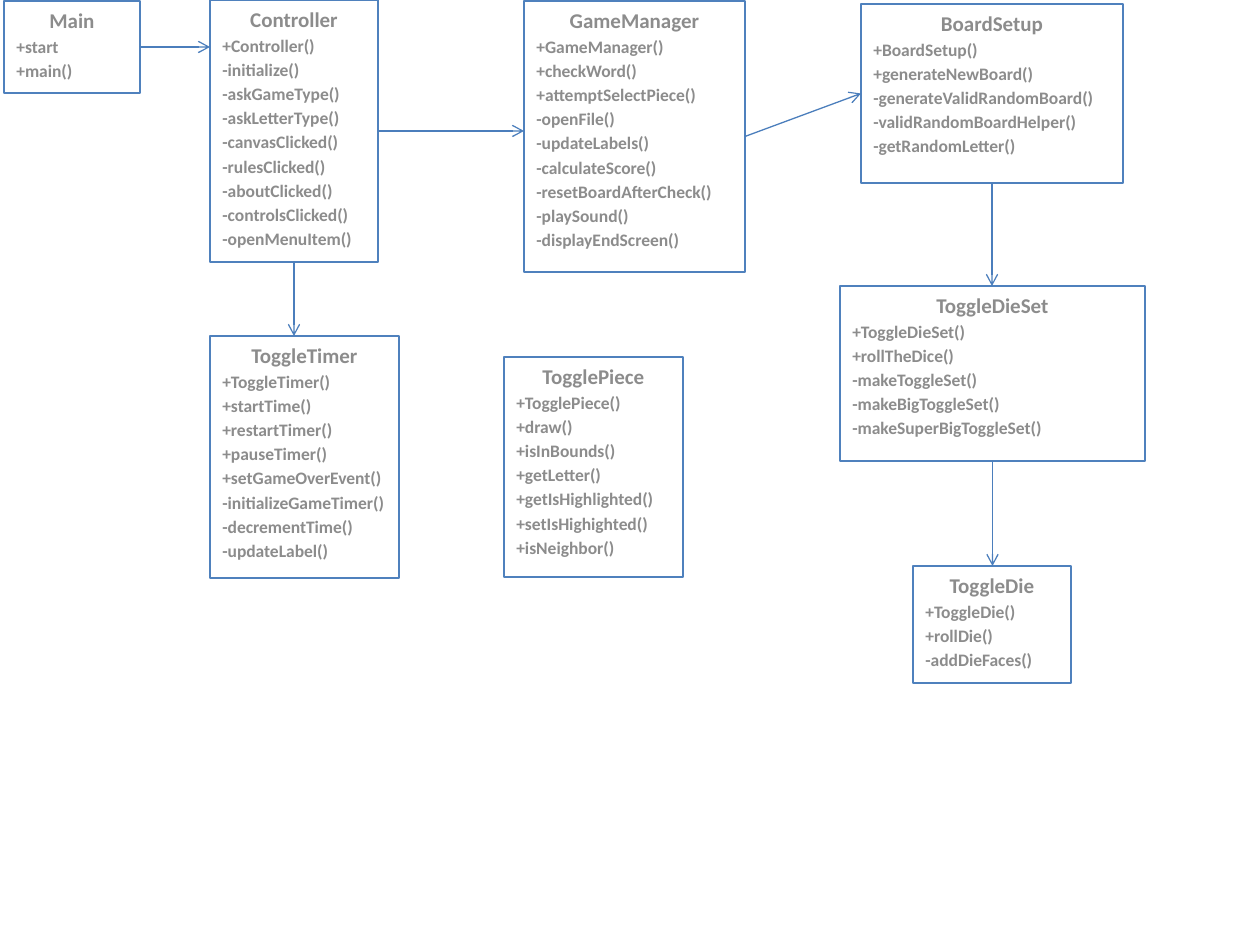
"""Builds a one-slide class diagram of a word game."""
from lxml.etree import SubElement
from pptx import Presentation
from pptx.dml.color import RGBColor
from pptx.enum.shapes import MSO_CONNECTOR as Connector, MSO_SHAPE as Shape
from pptx.enum.text import MSO_ANCHOR as Anchor, PP_ALIGN as Align
from pptx.oxml.ns import qn
from pptx.util import Pt

BOX_LINE = RGBColor(0x4F, 0x81, 0xBD)
ARROW_LINE = RGBColor(0x4B, 0x7E, 0xBC)
TEXT_GRAY = RGBColor(0x8C, 0x8C, 0x8C)
FONT = "Calibri"
LINE_WIDTH = Pt(0.75)
EMU_PER_PIXEL = 914400 / 126

CLASSES = {
    "Main": ((4, 1, 136, 92), ["+start", "+main()"]),
    "Controller": ((210, 0, 168, 262), [
        "+Controller()", "-initialize()", "-askGameType()", "-askLetterType()",
        "-canvasClicked()", "-rulesClicked()", "-aboutClicked()",
        "-controlsClicked()", "-openMenuItem()"]),
    "GameManager": ((524, 1, 221, 271), [
        "+GameManager()", "+checkWord()", "+attemptSelectPiece()", "-openFile()",
        "-updateLabels()", "-calculateScore()", "-resetBoardAfterCheck()",
        "-playSound()", "-displayEndScreen()"]),
    "ToggleDie": ((913, 566, 158, 117), [
        "+ToggleDie()", "+rollDie()", "-addDieFaces()"]),
    "ToggleDieSet": ((840, 286, 305, 175), [
        "+ToggleDieSet()", "+rollTheDice()", "-makeToggleSet()",
        "-makeBigToggleSet()", "-makeSuperBigToggleSet()"]),
    "BoardSetup": ((861, 4, 262, 179), [
        "+BoardSetup()", "+generateNewBoard()", "-generateValidRandomBoard()",
        "-validRandomBoardHelper()", "-getRandomLetter()"]),
    "ToggleTimer": ((210, 336, 189, 242), [
        "+ToggleTimer()", "+startTime()", "+restartTimer()", "+pauseTimer()",
        "+setGameOverEvent()", "-initializeGameTimer()", "-decrementTime()",
        "-updateLabel()"]),
    "TogglePiece": ((504, 357, 179, 220), [
        "+TogglePiece()", "+draw()", "+isInBounds()", "+getLetter()",
        "+getIsHighlighted()", "+setIsHighighted()", "+isNeighbor()"]),
}

ARROWS = [
    ("Main", "Controller", "across"),
    ("Controller", "GameManager", "across"),
    ("BoardSetup", "ToggleDieSet", "down"),
    ("GameManager", "BoardSetup", "slanted"),
    ("ToggleDieSet", "ToggleDie", "down"),
    ("Controller", "ToggleTimer", "down"),
]


def emu(pixels):
    return round(pixels * EMU_PER_PIXEL)


def add_class(slide, name, bounds, members):
    box = slide.shapes.add_shape(Shape.RECTANGLE, *map(emu, bounds))
    box.shadow.inherit = False
    box.fill.background()
    box.line.color.rgb = BOX_LINE
    box.line.width = LINE_WIDTH
    frame = box.text_frame
    frame.word_wrap = True
    frame.vertical_anchor = Anchor.TOP
    frame.text = "\n".join([name, *members])
    for index, paragraph in enumerate(frame.paragraphs):
        paragraph.alignment = Align.LEFT if index else Align.CENTER
        paragraph.space_before = Pt(1.8)
        font = paragraph.runs[0].font
        font.name = FONT
        font.size = Pt(10 if index else 12)
        font.bold = True
        font.color.rgb = TEXT_GRAY


def arrow_ends(source, target, direction):
    left, top, width, height = CLASSES[source][0]
    target_left, target_top, _, target_height = CLASSES[target][0]
    if direction == "down":
        middle = left + width / 2
        return middle, top + height, middle, target_top
    middle = top + height / 2
    end = target_top + target_height / 2 if direction == "slanted" else middle
    return left + width, middle, target_left, end


def add_arrow(slide, ends):
    arrow = slide.shapes.add_connector(Connector.STRAIGHT, *map(emu, ends))
    arrow.line.color.rgb = ARROW_LINE
    arrow.line.width = LINE_WIDTH
    SubElement(arrow.line._get_or_add_ln(), qn("a:tailEnd"), type="arrow")
    SubElement(arrow._element.spPr, qn("a:effectLst"))


presentation = Presentation()
presentation.slide_width = emu(1260)
presentation.slide_height = emu(945)
slide = presentation.slides.add_slide(presentation.slide_layouts[6])
for name, (bounds, members) in CLASSES.items():
    add_class(slide, name, bounds, members)
for arrow in ARROWS:
    add_arrow(slide, arrow_ends(*arrow))
presentation.save("out.pptx")
